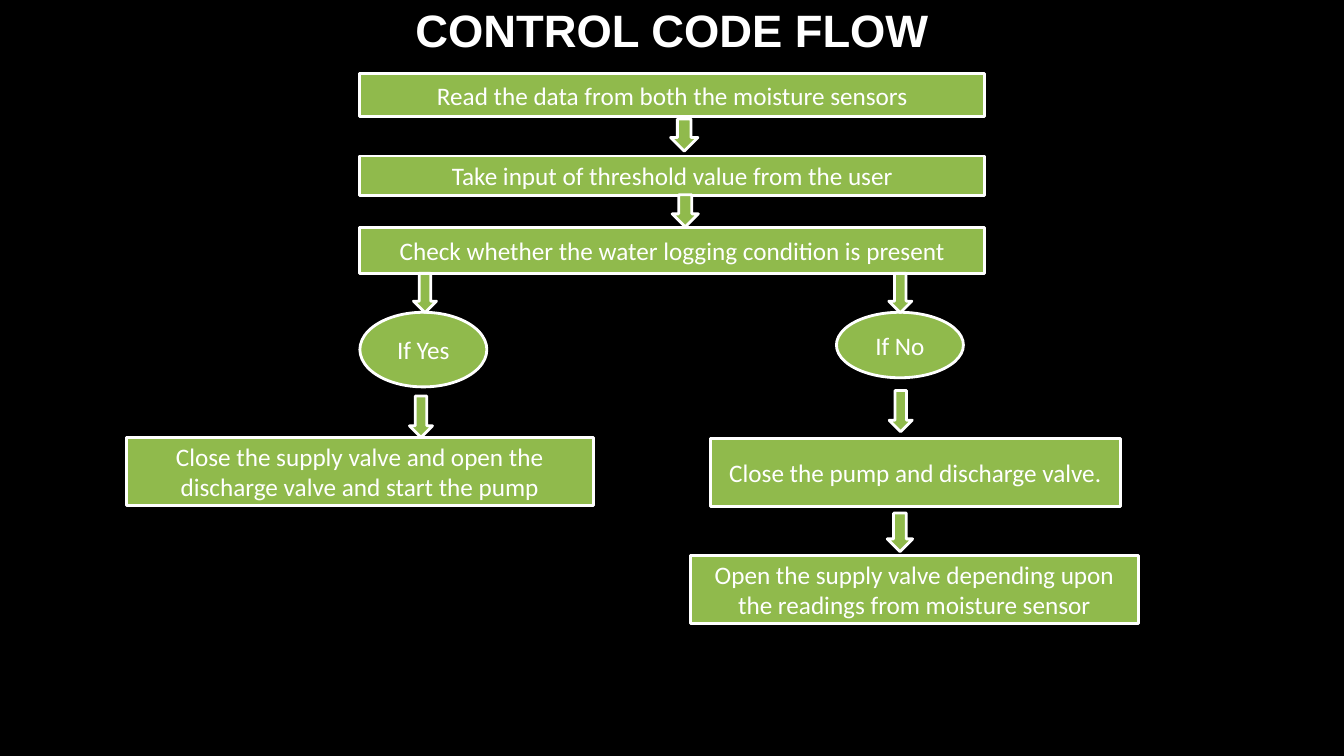
from dataclasses import dataclass

from pptx import Presentation
from pptx.dml.color import RGBColor
from pptx.enum.shapes import MSO_SHAPE
from pptx.enum.text import MSO_ANCHOR, PP_ALIGN
from pptx.util import Cm, Pt


@dataclass(frozen=True)
class Theme:
    background: RGBColor = RGBColor(0x00, 0x00, 0x00)
    fill: RGBColor = RGBColor(0x90, 0xBA, 0x4C)
    ink: RGBColor = RGBColor(0xFF, 0xFF, 0xFF)
    title_font: str = "Arial"
    body_font: str = "Calibri"
    title_size: float = 32.4
    body_size: float = 18
    outline: float = 2


THEME = Theme()

# Left, top, width and height are in centimetres
MAIN_LEFT, MAIN_WIDTH = 9.07, 15.75
MAIN_STEPS = [
    ("Read the data from both the moisture sensors", 1.85, 1.09),
    ("Take input of threshold value from the user", 3.93, 0.99),
    ("Check whether the water logging condition is present", 5.74, 1.15),
]
CHOICE_TOP, CHOICE_WIDTH = 7.87, 3.2
CHOICES = [("If Yes", 9.07, 1.88), ("If No", 21.08, 1.65)]
ACTION_HEIGHT = 1.72
ACTIONS = [
    ("Close the supply valve and open the discharge valve and start the pump",
     3.18, 11.02, 11.77),
    ("Close the pump and discharge valve.", 17.91, 11.05, 10.32),
    ("Open the supply valve depending upon the readings from moisture sensor",
     17.4, 13.99, 11.29),
]
ARROWS = [
    (16.9, 3.0, 0.69, 0.81),
    (16.94, 4.91, 0.66, 0.81),
    (10.42, 6.89, 0.58, 0.99),
    (22.4, 6.89, 0.58, 0.99),
    (10.32, 9.98, 0.58, 1.04),
    (22.41, 9.84, 0.58, 1.04),
    (22.36, 12.93, 0.64, 0.97),
]


def write(tf, text, font, size, bold=False):
    tf.word_wrap = True
    tf.vertical_anchor = MSO_ANCHOR.MIDDLE
    tf.margin_top = tf.margin_bottom = Cm(0.1)
    p = tf.paragraphs[0]
    p.text = text
    p.alignment = PP_ALIGN.CENTER
    p.font.name = font
    p.font.size = Pt(size)
    p.font.bold = bold
    p.font.color.rgb = THEME.ink


def add_title(s, text, width):
    sp = s.shapes.title
    sp.left, sp.top, sp.width, sp.height = Cm(0), Cm(0), width, Cm(1.47)
    write(sp.text_frame, text, THEME.title_font, THEME.title_size, bold=True)


def add_block(s, kind, left, top, width, height):
    sp = s.shapes.add_shape(kind, Cm(left), Cm(top), Cm(width), Cm(height))
    sp.shadow.inherit = False
    sp.fill.solid()
    sp.fill.fore_color.rgb = THEME.fill
    sp.line.color.rgb = THEME.ink
    sp.line.width = Pt(THEME.outline)
    return sp


def add_step(s, kind, text, left, top, width, height):
    sp = add_block(s, kind, left, top, width, height)
    write(sp.text_frame, text, THEME.body_font, THEME.body_size)


def main():
    prs = Presentation()
    prs.slide_width, prs.slide_height = Cm(33.87), Cm(19.05)
    s = prs.slides.add_slide(prs.slide_layouts[5])
    s.background.fill.solid()
    s.background.fill.fore_color.rgb = THEME.background
    add_title(s, "CONTROL CODE FLOW", prs.slide_width)

    # Shared steps
    for text, top, height in MAIN_STEPS:
        add_step(s, MSO_SHAPE.RECTANGLE, text, MAIN_LEFT, top, MAIN_WIDTH, height)

    # Branches and their actions
    for text, left, height in CHOICES:
        add_step(s, MSO_SHAPE.OVAL, text, left, CHOICE_TOP, CHOICE_WIDTH, height)
    for text, left, top, width in ACTIONS:
        add_step(s, MSO_SHAPE.RECTANGLE, text, left, top, width, ACTION_HEIGHT)

    # Block arrows between the steps
    for box in ARROWS:
        add_block(s, MSO_SHAPE.DOWN_ARROW, *box)

    prs.save("out.pptx")


if __name__ == "__main__":
    main()
